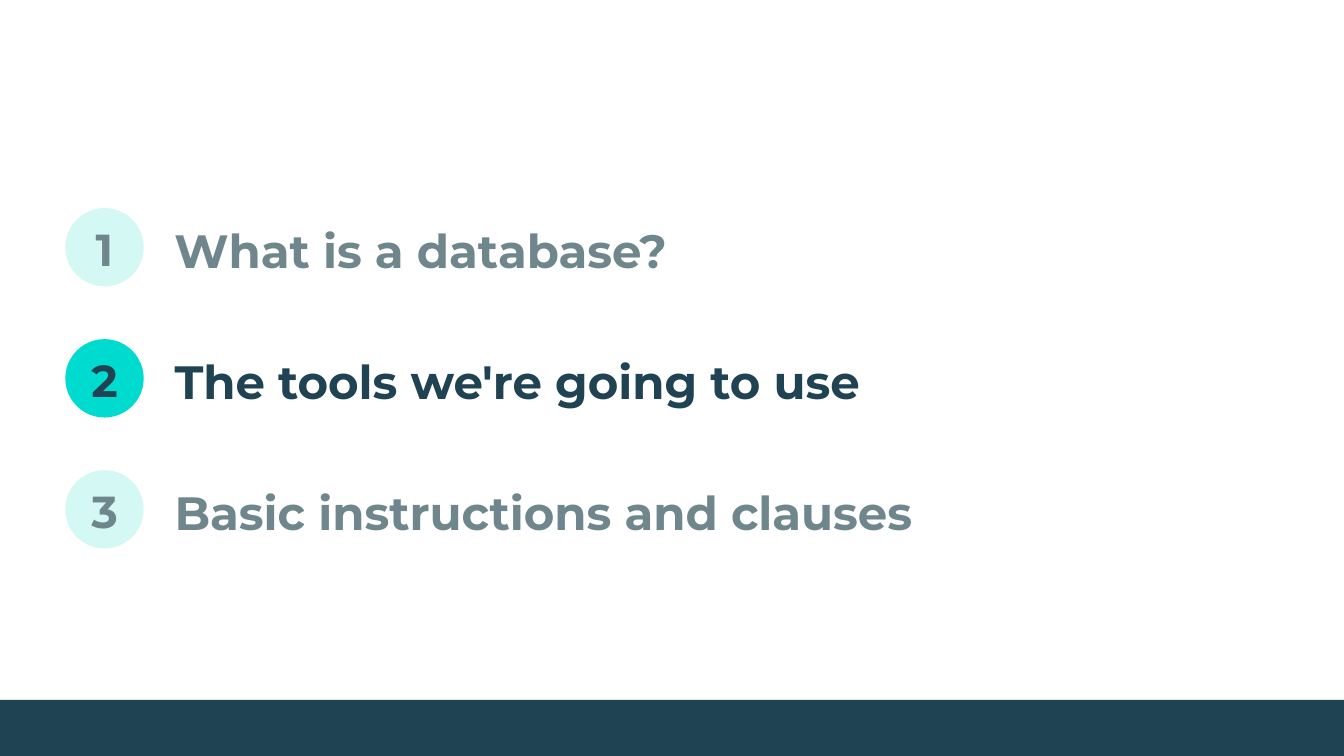
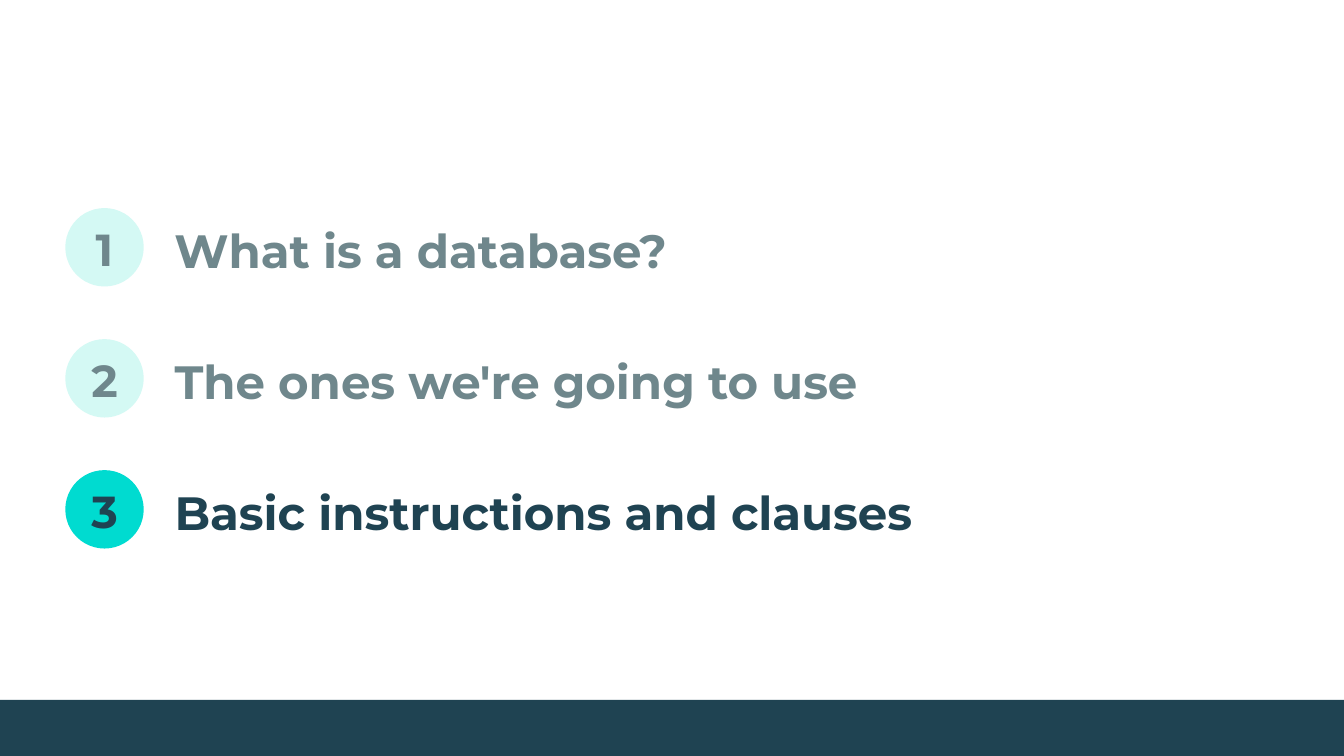
from pptx import Presentation
from pptx.dml.color import RGBColor
from pptx.enum.shapes import MSO_SHAPE
from pptx.enum.text import MSO_ANCHOR, PP_ALIGN
from pptx.util import Pt

WIDTH, HEIGHT = 720, 405
BAND_TOP = 375
COLORS = {
    "background": "FFFFFF",
    "navy": "1F4352",
    "muted": "6F878C",
    "turquoise": "00DBD0",
    "mint": "D4F9F4",
}
FIRST_TOP, ROW_STEP = 111.5, 70.2
CIRCLE_LEFT, CIRCLE_SIZE = 35, 42
NUMBER_WIDTH, NUMBER_HEIGHT = 45.4, 29.5
NUMBER_LEFT = CIRCLE_LEFT + (CIRCLE_SIZE - NUMBER_WIDTH) / 2
TOPIC_LEFT = 86.4
TOPIC_WIDTHS = (512, 505.5, 583)
AGENDAS = (
    (2, ("What is a database?", "The tools we're going to use",
         "Basic instructions and clauses")),
    (3, ("What is a database?", "The ones we're going to use",
         "Basic instructions and clauses")),
)


def apply_format(target, values):
    """Set every attribute named in values on target."""
    for name, value in values.items():
        setattr(target, name, value)


class AgendaDeck:
    """Holds the shared style and the slide being drawn."""

    frame_format = {
        "word_wrap": True,
        "vertical_anchor": MSO_ANCHOR.TOP,
        "margin_left": Pt(7.2),
        "margin_right": Pt(7.2),
        "margin_top": Pt(7.2),
        "margin_bottom": Pt(7.2),
    }
    font_format = {"name": "Montserrat", "bold": True}

    def __init__(self):
        """Start an empty deck."""
        self.deck = Presentation()
        apply_format(self.deck, {"slide_width": Pt(WIDTH), "slide_height": Pt(HEIGHT)})
        self.slide = None

    def color(self, name):
        """Return the named colour."""
        return RGBColor.from_string(COLORS[name])

    def new_slide(self):
        """Add a blank slide with the shared background."""
        self.slide = self.deck.slides.add_slide(self.deck.slide_layouts[6])
        fill = self.slide.background.fill
        fill.solid()
        fill.fore_color.rgb = self.color("background")

    def shape(self, preset, box, color):
        """Draw a flat filled shape."""
        drawn = self.slide.shapes.add_shape(preset, *map(Pt, box))
        drawn.shadow.inherit = False
        drawn.fill.solid()
        drawn.fill.fore_color.rgb = self.color(color)
        drawn.line.fill.background()

    def text(self, words, box, size, color, align=PP_ALIGN.LEFT):
        """Write one bold line of text."""
        frame = self.slide.shapes.add_textbox(*map(Pt, box)).text_frame
        apply_format(frame, self.frame_format)
        paragraph = frame.paragraphs[0]
        paragraph.alignment = align
        run = paragraph.add_run()
        run.text = words
        apply_format(run.font, {**self.font_format, "size": Pt(size)})
        run.font.color.rgb = self.color(color)

    def topic(self, number, words, width, active):
        """Draw a numbered agenda row."""
        top = FIRST_TOP + (number - 1) * ROW_STEP
        ink, disc = ("navy", "turquoise") if active else ("muted", "mint")
        self.shape(MSO_SHAPE.OVAL, (CIRCLE_LEFT, top, CIRCLE_SIZE, CIRCLE_SIZE), disc)
        self.text(words, (TOPIC_LEFT, top, width, CIRCLE_SIZE), 25, ink)
        self.text(str(number), (NUMBER_LEFT, top, NUMBER_WIDTH, NUMBER_HEIGHT),
                  24, ink, PP_ALIGN.CENTER)

    def footer_band(self):
        """Draw the band along the bottom edge."""
        self.shape(MSO_SHAPE.RECTANGLE, (0, BAND_TOP, WIDTH, HEIGHT - BAND_TOP), "navy")

    def agenda(self, current, topics):
        """Build an agenda slide with the current topic highlighted."""
        self.new_slide()
        for number, (words, width) in enumerate(zip(topics, TOPIC_WIDTHS), 1):
            self.topic(number, words, width, number == current)
        self.footer_band()


def main():
    """Build and save the agenda slides."""
    agenda_deck = AgendaDeck()
    for current, topics in AGENDAS:
        agenda_deck.agenda(current, topics)
    agenda_deck.deck.save("out.pptx")


if __name__ == "__main__":
    main()
